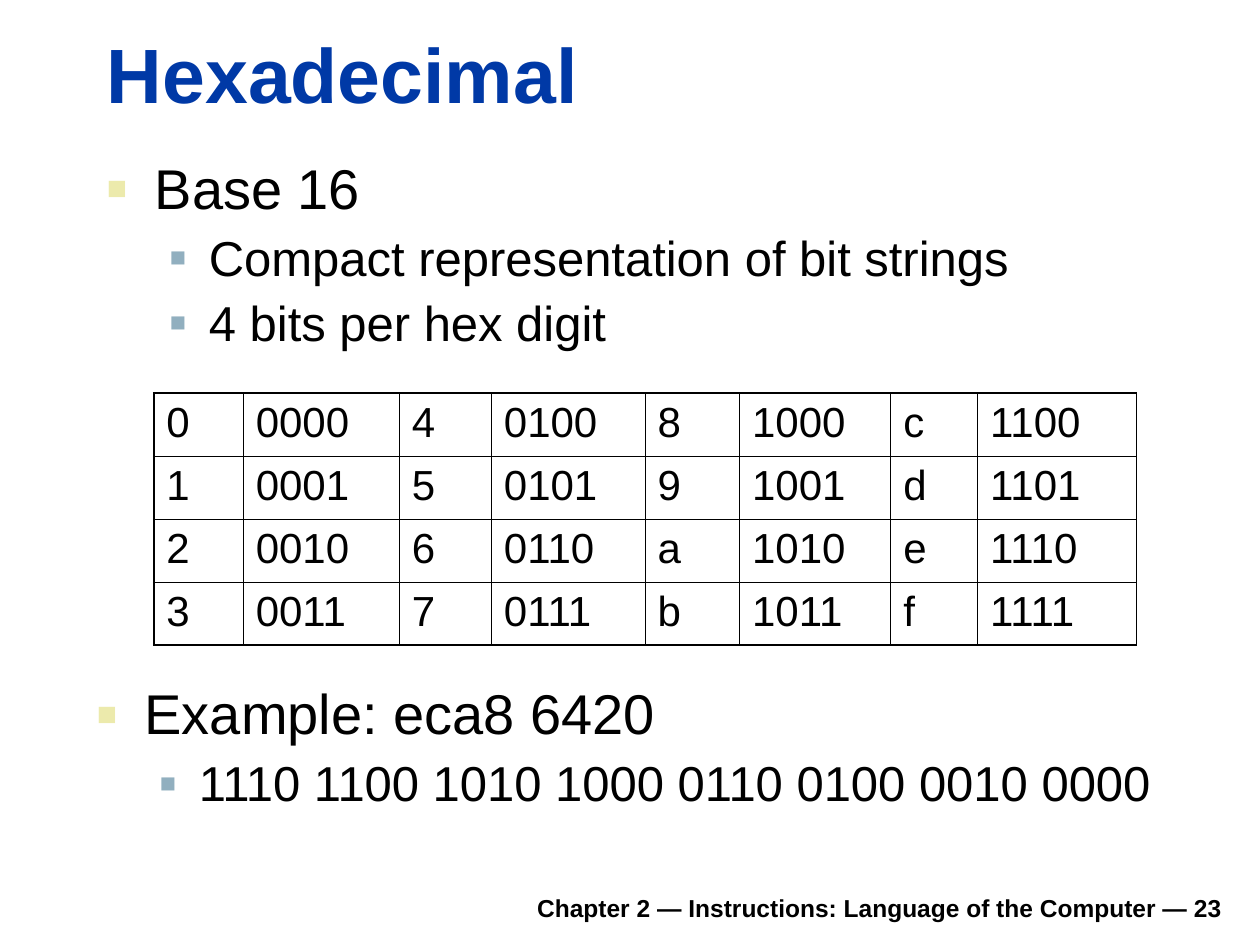
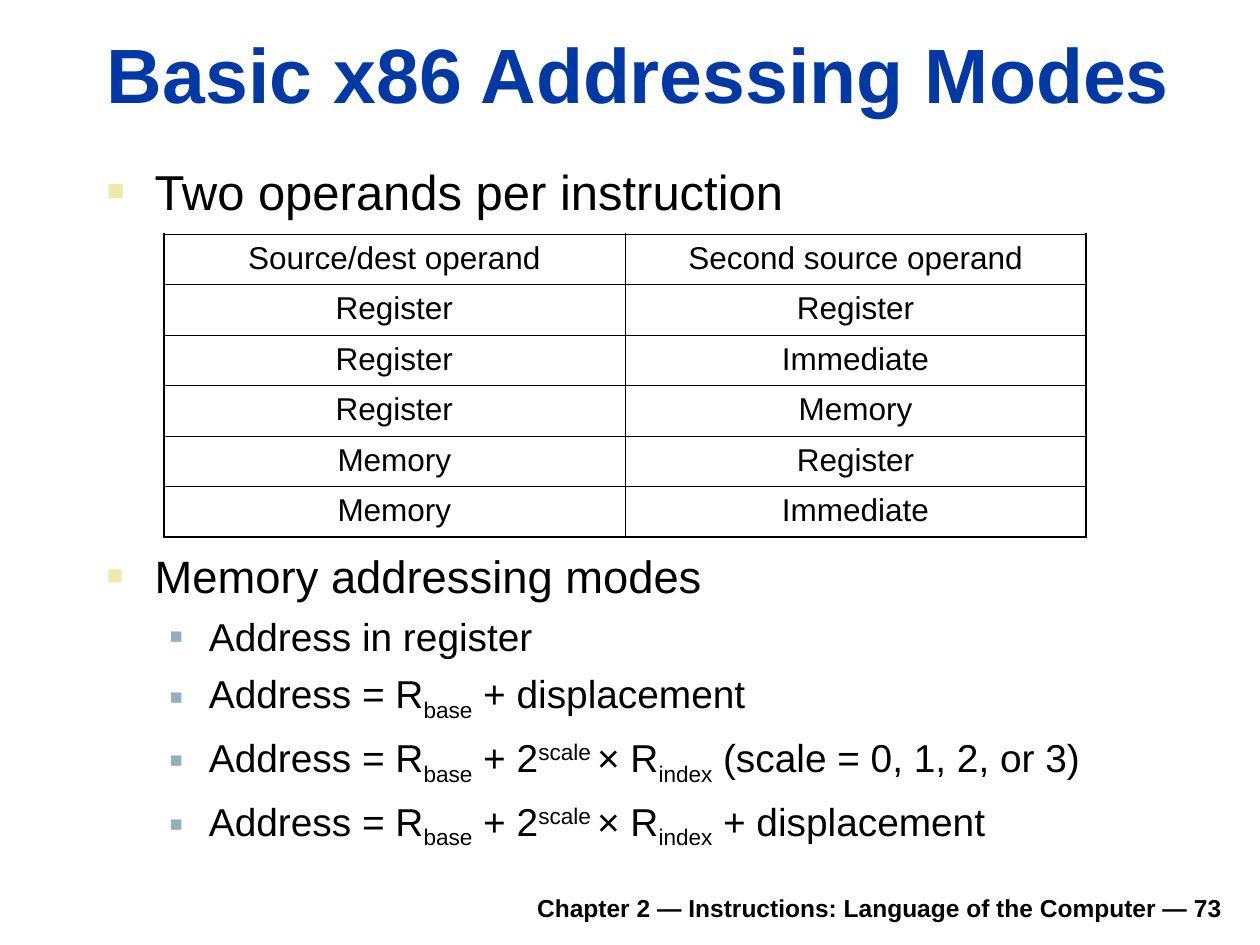
from lxml.etree import SubElement
from pptx import Presentation as Deck
from pptx.dml.color import RGBColor as Rgb
from pptx.enum.text import MSO_ANCHOR as Anchor, PP_ALIGN as Align
from pptx.oxml.ns import qn
from pptx.util import Inches, Pt

COLORS = {"title": "0039A6", "text": "000000", "major": "ECEAAC", "minor": "91AFBF"}
FONT = "Arial"
UNIT = Inches(0.1)
COLUMNS, ROWS = 100, 75
TITLE_BOX = (7.5, 1.6, 90.3, 8.3)
FOOTER_BOX = (18.5, 69.8, 79.5, 3.9)
FOOTER = "Chapter 2 — Instructions: Language of the Computer — "
OUTER_LINE, INNER_LINE = 1.08, 0.45
BULLETS = [
    {"color": "major", "share": 60, "margin": 0.38, "hang": 0.38},
    {"color": "minor", "share": 55, "margin": 0.81, "hang": 0.31},
]
SUBSCRIPT, SUPERSCRIPT = -25, 30
R_BASE = [("R", 0), ("base", SUBSCRIPT)]
SCALED_INDEX = [(" + 2", 0), ("scale ", SUPERSCRIPT), ("× R", 0), ("index", SUBSCRIPT)]


def grid(box):
    """Turn grid columns and rows into slide lengths."""
    return [round(length * UNIT) for length in box]


def set_font(para, size, color="text", bold=False):
    """Give a whole paragraph its font."""
    font = para.font
    font.name, font.size, font.bold = FONT, Pt(size), bold
    font.color.rgb = Rgb.from_string(COLORS[color])


def add_box(page, box, anchor=Anchor.TOP):
    """Add a wrapping text box and return its frame."""
    frame = page.shapes.add_textbox(*grid(box)).text_frame
    frame.word_wrap = True
    frame.vertical_anchor = anchor
    return frame


def add_line(page, box, text, size, color="text", align=Align.LEFT):
    """Add one bold line standing on the bottom of its box."""
    para = add_box(page, box, Anchor.BOTTOM).paragraphs[0]
    para.text, para.alignment = text, align
    set_font(para, size, color, bold=True)


def add_bullet(para, level):
    """Put the square bullet of a level before a paragraph."""
    bullet = BULLETS[level]
    para.level = level
    props = para._p.get_or_add_pPr()
    props.set("marL", str(Inches(bullet["margin"])))
    props.set("indent", str(-Inches(bullet["hang"])))
    color = SubElement(props, qn("a:buClr"))
    SubElement(color, qn("a:srgbClr"), val=COLORS[bullet["color"]])
    SubElement(props, qn("a:buSzPct"), val=str(bullet["share"] * 1000))
    SubElement(props, qn("a:buFont"), typeface=FONT)
    SubElement(props, qn("a:buChar"), char="■")


def add_bullets(page, box, items, sizes, gaps, spacing=1.0):
    """Fill a box with (level, spans) items; sizes and gaps go by level."""
    frame = add_box(page, box)
    for number, (level, spans) in enumerate(items):
        para = frame.add_paragraph() if number else frame.paragraphs[0]
        add_bullet(para, level)
        para.line_spacing = spacing
        if number:
            para.space_before = Pt(gaps[level])
        set_font(para, sizes[level])
        for text, baseline in spans:
            span = para.add_run()
            span.text = text
            if baseline:
                span._r.get_or_add_rPr().set("baseline", str(baseline * 1000))


def plain(level, text):
    """Make a bullet item of one span."""
    return level, [(text, 0)]


def rule_cell(cell, outer):
    """Draw the four borders of a cell, heavier where it meets the table's edge."""
    props = cell._tc.get_or_add_tcPr()
    for side in ("L", "R", "T", "B"):
        width = OUTER_LINE if outer[side] else INNER_LINE
        line = SubElement(props, qn(f"a:ln{side}"), w=str(Pt(width)))
        fill = SubElement(line, qn("a:solidFill"))
        SubElement(fill, qn("a:srgbClr"), val=COLORS["text"])
    cell.fill.background()


def add_grid_table(page, box, rows, widths, size, align=Align.LEFT):
    """Add a ruled table whose columns share the box by the given widths."""
    left, top, width, height = grid(box)
    last_row, last_column = len(rows) - 1, len(widths) - 1
    table = page.shapes.add_table(len(rows), len(widths), left, top, width, height).table
    table.first_row = table.horz_banding = False
    for column, share in zip(table.columns, widths):
        column.width = round(width * share / sum(widths))
    for r, row in enumerate(rows):
        for c, text in enumerate(row):
            cell = table.cell(r, c)
            para = cell.text_frame.paragraphs[0]
            para.text, para.alignment = text, align
            set_font(para, size)
            rule_cell(cell, {"L": c == 0, "R": c == last_column,
                             "T": r == 0, "B": r == last_row})


def add_page(deck, title, number):
    """Add a page with the shared footer and title."""
    page = deck.slides.add_slide(deck.slide_layouts[6])
    add_line(page, FOOTER_BOX, f"{FOOTER}{number}", 14, align=Align.RIGHT)
    add_line(page, TITLE_BOX, title, 44, "title")
    return page


def add_hexadecimal_page(deck):
    """Build the page on hexadecimal digits."""
    page = add_page(deck, "Hexadecimal", 23)
    style = {"sizes": (32, 28), "gaps": (8, 7), "spacing": 0.9}
    add_bullets(page, (7.5, 12.3, 90.4, 17.3), [
        plain(0, "Base 16"),
        plain(1, "Compact representation of bit strings"),
        plain(1, "4 bits per hex digit"),
    ], **style)
    digits = [[f"{value:{form}}" for value in range(first, 16, 4) for form in ("x", "04b")]
              for first in range(4)]
    widths = (7.1, 12.4, 7.3, 12.2, 7.5, 12, 6.9, 12.6)
    add_grid_table(page, (12.2, 31.2, 78, 20), digits, widths, 24)
    add_bullets(page, (6.7, 54, 90.4, 12.6), [
        plain(0, "Example: eca8 6420"),
        plain(1, "1110 1100 1010 1000 0110 0100 0010 0000"),
    ], **style)


def add_addressing_page(deck):
    """Build the page on addressing modes."""
    page = add_page(deck, "Basic x86 Addressing Modes", 73)
    add_bullets(page, (7.5, 12.3, 90.4, 7.1),
                [plain(0, "Two operands per instruction")], (28,), (7,))
    operands = [
        ("Source/dest operand", "Second source operand"),
        ("Register", "Register"),
        ("Register", "Immediate"),
        ("Register", "Memory"),
        ("Memory", "Register"),
        ("Memory", "Immediate"),
    ]
    add_grid_table(page, (13, 18.6, 73.2, 24), operands, (1, 1), 18, Align.CENTER)
    address, displacement = [("Address = ", 0), *R_BASE], [(" + displacement", 0)]
    add_bullets(page, (7.5, 43, 90.4, 25.2), [
        plain(0, "Memory addressing modes"),
        plain(1, "Address in register"),
        (1, address + displacement),
        (1, address + SCALED_INDEX + [(" (scale = 0, 1, 2, or 3)", 0)]),
        (1, address + SCALED_INDEX + displacement),
    ], (25.9, 22.2), (7, 6))


def main():
    """Build and save the deck."""
    deck = Deck()
    deck.slide_width, deck.slide_height = COLUMNS * UNIT, ROWS * UNIT
    add_hexadecimal_page(deck)
    add_addressing_page(deck)
    deck.save("out.pptx")


if __name__ == "__main__":
    main()
